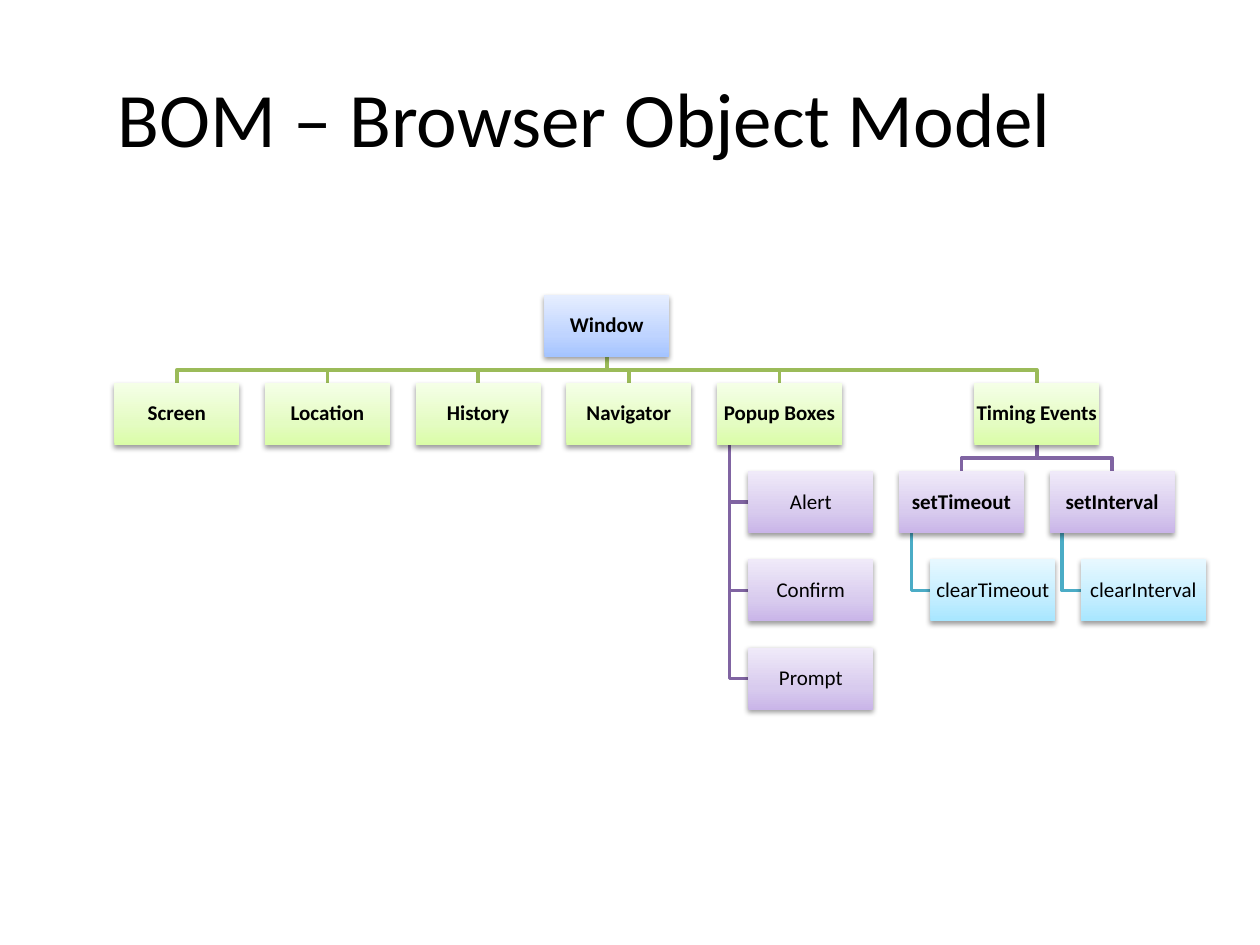
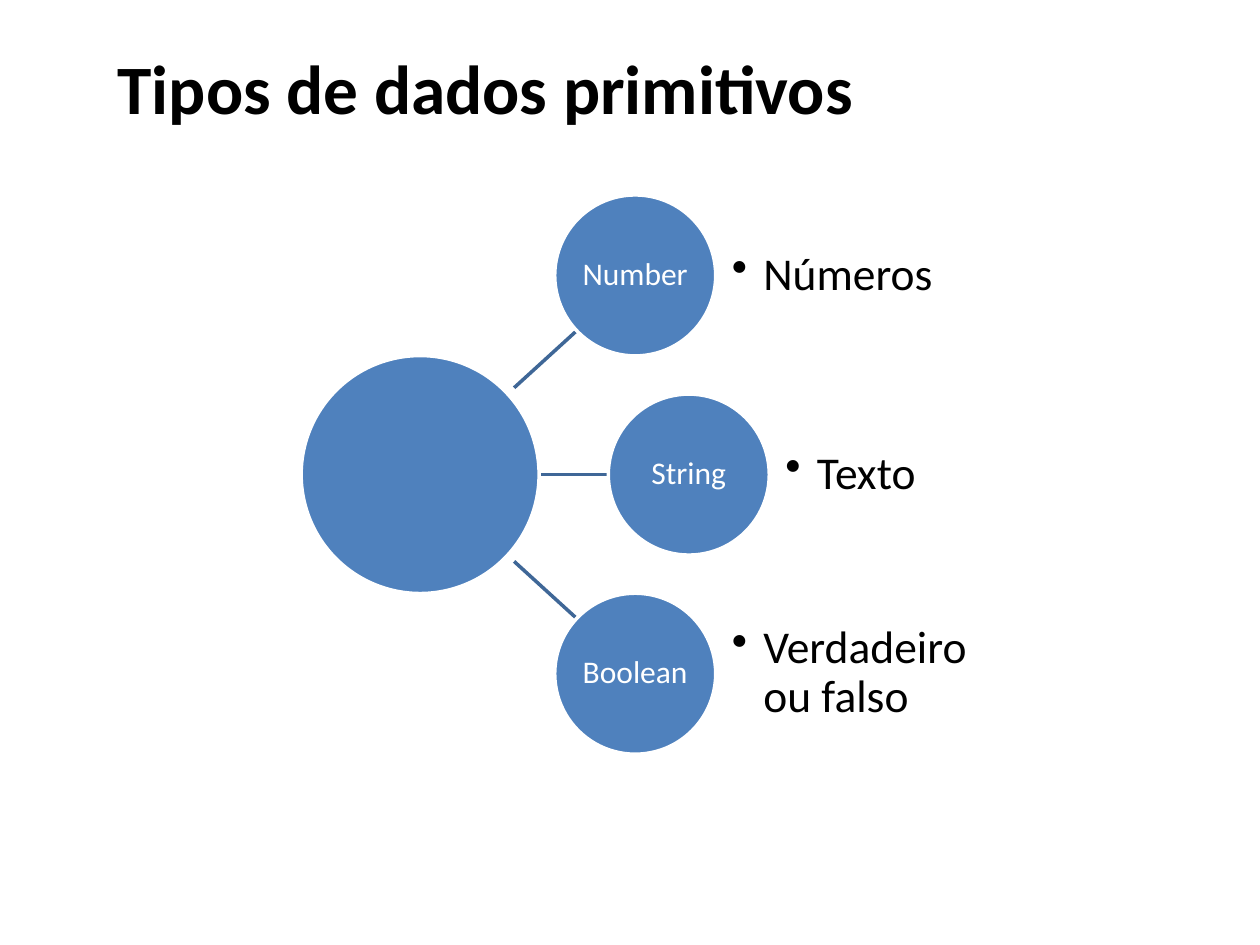
from copy import deepcopy

from lxml import etree
from pptx import Presentation
from pptx.dml.color import RGBColor
from pptx.enum.shapes import MSO_CONNECTOR, MSO_SHAPE
from pptx.enum.text import MSO_ANCHOR, PP_ALIGN
from pptx.oxml.ns import qn
from pptx.util import Pt

RECT, OVAL = MSO_SHAPE.RECTANGLE, MSO_SHAPE.OVAL
STRAIGHT = MSO_CONNECTOR.STRAIGHT
MIDDLE = MSO_ANCHOR.MIDDLE
LEFT, CENTER = PP_ALIGN.LEFT, PP_ALIGN.CENTER

FONT = "Calibri"
BLACK, WHITE = "000000", "FFFFFF"
DISC, SPOKE = "4F81BD", "3F6797"
BLUE = ("A4C4FF", "BFD4FF", "E6EEFF")
GREEN = ("DAFDA7", "E4FCC2", "F5FFE7")
PURPLE = ("C9B5E8", "D8CBEE", "F0EAF9")
AQUA = ("A7E6FF", "C1EDFF", "E7F8FF")
LINKS = {GREEN: "9BBB59", PURPLE: "8064A2", AQUA: "4BACC6"}

NODE_W, NODE_H = 71.4, 35.4
COL_X, COL_STEP = 65.3, 86.1
ROW_Y, ROW_STEP = 168.5, 50.4
INDENT = 17.9


def rgb(value):
    return RGBColor.from_string(value)


def write(tf, text, size, color=BLACK, bold=False, align=LEFT, inset=None,
          spacing=None, bullet_indent=None):
    tf.word_wrap = True
    tf.vertical_anchor = MIDDLE
    if inset is not None:
        tf.margin_left = tf.margin_right = Pt(inset)
        tf.margin_top = tf.margin_bottom = Pt(inset)
    p = tf.paragraphs[0]
    p.alignment = align
    if spacing:
        p.line_spacing = spacing
    if bullet_indent:
        pPr = p._p.get_or_add_pPr()
        pPr.set("marL", str(Pt(bullet_indent)))
        pPr.set("indent", str(-Pt(bullet_indent)))
        etree.SubElement(pPr, qn("a:buChar"), char="•")
    r = p.add_run()
    r.text = text
    r.font.name, r.font.size, r.font.bold = FONT, Pt(size), bold
    r.font.color.rgb = rgb(color)


class Deck:
    """Holds the presentation style and the slide being drawn."""

    def __init__(self):
        self.prs = Presentation()
        self.prs.slide_width, self.prs.slide_height = Pt(720), Pt(540)

    def slide(self, title, top, height, **fmt):
        self.s = self.prs.slides.add_slide(self.prs.slide_layouts[5])
        sp = self.s.shapes.title
        sp.left, sp.top, sp.width, sp.height = Pt(60), Pt(top), Pt(636), Pt(height)
        write(sp.text_frame, title, **fmt)

    def shape(self, kind, x, y, w, h):
        sp = self.s.shapes.add_shape(kind, Pt(x), Pt(y), Pt(w), Pt(h))
        sp.shadow.inherit = False
        return sp

    def node(self, text, x, y, colors, bold):
        sp = self.shape(RECT, x, y, NODE_W, NODE_H)
        sp.fill.gradient()
        sp.fill.gradient_angle = 90
        spPr = sp._element.spPr
        stops = spPr.find(".//" + qn("a:gsLst"))
        stops.insert(1, deepcopy(stops[0]))
        for stop, color, position in zip(sp.fill.gradient_stops, colors, (0, 0.35, 1)):
            stop.color.rgb = rgb(color)
            stop.position = position
        sp.line.fill.background()
        shadow = etree.SubElement(
            spPr.find(qn("a:effectLst")), qn("a:outerShdw"), blurRad=str(Pt(3.1)),
            dist=str(Pt(1.6)), dir="5400000", rotWithShape="0")
        tint = etree.SubElement(shadow, qn("a:srgbClr"), val=BLACK)
        etree.SubElement(tint, qn("a:alpha"), val="38000")
        write(sp.text_frame, text, 12, bold=bold, align=CENTER, inset=0.6, spacing=0.9)

    def elbow(self, points, color):
        pts = [(Pt(x), Pt(y)) for x, y in points]
        builder = self.s.shapes.build_freeform(*pts[0])
        builder.add_line_segments(pts[1:], close=False)
        sp = builder.convert_to_shape()
        sp.shadow.inherit = False
        sp.fill.background()
        sp.line.color.rgb, sp.line.width = rgb(color), Pt(2)

    def line(self, x1, y1, x2, y2, color):
        c = self.s.shapes.add_connector(STRAIGHT, Pt(x1), Pt(y1), Pt(x2), Pt(y2))
        c.line.color.rgb, c.line.width = rgb(color), Pt(2)
        etree.SubElement(c._element.spPr, qn("a:effectLst"))

    def circle(self, x, y, d, text=None):
        sp = self.shape(OVAL, x, y, d, d)
        sp.fill.solid()
        sp.fill.fore_color.rgb = rgb(DISC)
        sp.line.color.rgb, sp.line.width = rgb(WHITE), Pt(2)
        if text:
            write(sp.text_frame, text, 18, color=WHITE, align=CENTER, inset=0.6, spacing=0.9)

    def bullet(self, text, x, y, w, h):
        tb = self.s.shapes.add_textbox(Pt(x), Pt(y), Pt(w), Pt(h))
        write(tb.text_frame, text, 26, inset=0, spacing=0.9, bullet_indent=18)


def link(parent, child, hanging):
    (px, py), (cx, cy) = parent, child
    bottom = py + NODE_H
    if hanging:
        stem, mid = px + NODE_W / 10, cy + NODE_H / 2
        return [(stem, bottom), (stem, mid), (cx, mid)]
    start, end, bus = px + NODE_W / 2, cx + NODE_W / 2, (bottom + cy) / 2
    return [(start, bottom), (start, bus), (end, bus), (end, cy)]


def bom_slide(deck):
    deck.slide("BOM – Browser Object Model", 21.6, 90, size=44)
    timeout_x = COL_X + 4 * COL_STEP + INDENT + COL_STEP
    interval_x = timeout_x + COL_STEP
    timing_x = (timeout_x + interval_x) / 2
    columns = ["Screen", "Location", "History", "Navigator", "Popup Boxes"]
    popup_x = COL_X + 4 * COL_STEP

    tree = [("Window", None, (COL_X + timing_x) / 2, 0, BLUE, False)]
    tree += [(name, "Window", COL_X + i * COL_STEP, 1, GREEN, False)
             for i, name in enumerate(columns)]
    tree += [(name, "Popup Boxes", popup_x + INDENT, row, PURPLE, True)
             for row, name in enumerate(["Alert", "Confirm", "Prompt"], 2)]
    tree.append(("Timing Events", "Window", timing_x, 1, GREEN, False))
    for suffix, x in (("Timeout", timeout_x), ("Interval", interval_x)):
        tree.append(("set" + suffix, "Timing Events", x, 2, PURPLE, False))
        tree.append(("clear" + suffix, "set" + suffix, x + INDENT, 3, AQUA, True))

    spots = {name: (x, ROW_Y + row * ROW_STEP) for name, _, x, row, _, _ in tree}
    for name, parent, _, _, colors, hanging in tree:
        if parent:
            deck.elbow(link(spots[parent], spots[name], hanging), LINKS[colors])
    for name, _, _, _, colors, hanging in tree:
        deck.node(name, *spots[name], colors, bold=not hanging)


def types_slide(deck):
    deck.slide("Tipos de dados primitivos", 20.9, 56.9, size=39.6, bold=True)
    d, hub_d, center_y = 92, 136, 271.2
    for x1, x2, dy1, dy2 in ((293.8, 329, 49.6, 81.7), (309, 347, 0, 0),
                             (293.8, 329, -49.6, -81.7)):
        deck.line(x1, center_y - dy1, x2, center_y - dy2, SPOKE)
    deck.circle(172.1, center_y - hub_d / 2, hub_d)
    rows = [("Number", "Números", 317), ("String", "Texto", 347.6),
            ("Boolean", "Verdadeiro ou falso", 317)]
    for i, (name, meaning, x) in enumerate(rows):
        y = center_y - d / 2 + (i - 1) * 113.8
        deck.circle(x, y, d, name)
        deck.bullet(meaning, x + 1.1 * d, y, 1.5 * d, d)


def main():
    deck = Deck()
    bom_slide(deck)
    types_slide(deck)
    deck.prs.save("out.pptx")


if __name__ == "__main__":
    main()
